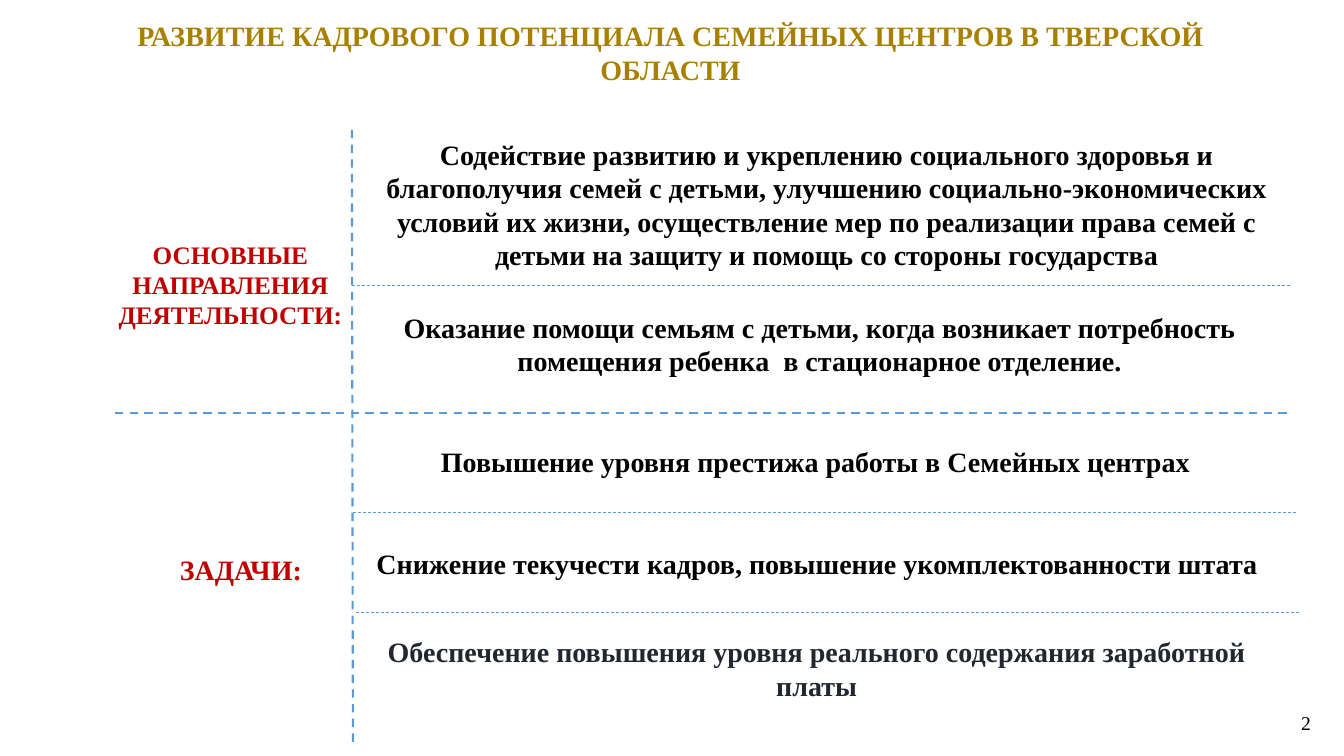
"""Build the slide on staff development in family centres."""
from dataclasses import dataclass

from lxml import etree
from pptx import Presentation
from pptx import util as u
from pptx.dml import color
from pptx.enum import dml, shapes, text
from pptx.oxml import ns


@dataclass(frozen=True)
class Theme:
    font: str = "Times New Roman"
    gold: str = "A88000"
    red: str = "C00000"
    black: str = "000000"
    graphite: str = "22272F"
    blue: str = "5B9BD5"
    body_size: float = 20
    label_size: float = 18
    number_size: float = 14
    thick: float = 1.5
    thin: float = 0.5


class SlideBuilder:
    def __init__(self, slide, theme):
        self.slide = slide
        self.theme = theme

    def place(self, shape, box):
        shape.left, shape.top, shape.width, shape.height = map(u.Inches, box)

    def add_wording(self, shape, wording, ink, size=None, bold=True,
                    align=text.PP_ALIGN.CENTER, anchor=text.MSO_ANCHOR.MIDDLE):
        frame = shape.text_frame
        frame.word_wrap = True
        frame.auto_size = text.MSO_AUTO_SIZE.NONE
        frame.vertical_anchor = anchor
        paragraph = frame.paragraphs[0]
        paragraph.alignment = align
        run = paragraph.add_run()
        run.text = wording
        run.font.name = self.theme.font
        run.font.size = u.Pt(size or self.theme.body_size)
        run.font.bold = bold
        run.font.color.rgb = color.RGBColor.from_string(ink)

    def title(self, box, wording):
        shape = self.slide.shapes.title
        self.place(shape, box)
        self.add_wording(shape, wording, self.theme.gold)

    def text_box(self, box, wording, ink, **style):
        shape = self.slide.shapes.add_textbox(*map(u.Inches, box))
        self.add_wording(shape, wording, ink, **style)

    def panel(self, box, wording, ink, **style):
        shape = self.slide.shapes.add_shape(
            shapes.MSO_SHAPE.ROUNDED_RECTANGLE, *map(u.Inches, box))
        shape.shadow.inherit = False
        shape.fill.background()
        shape.line.fill.background()
        frame = shape.text_frame
        frame.margin_left = frame.margin_right = u.Inches(0.13)
        frame.margin_top = frame.margin_bottom = u.Inches(0.07)
        self.add_wording(shape, wording, ink, **style)

    def dashed_line(self, start, end, width):
        connector = self.slide.shapes.add_connector(
            shapes.MSO_CONNECTOR.STRAIGHT, *map(u.Inches, start + end))
        connector.line.color.rgb = color.RGBColor.from_string(self.theme.blue)
        connector.line.width = u.Pt(width)
        connector.line.dash_style = dml.MSO_LINE.DASH
        etree.SubElement(connector._element.spPr, ns.qn("a:effectLst"))


presentation = Presentation()
presentation.slide_width = u.Inches(13.33)
presentation.slide_height = u.Inches(7.5)
theme = Theme()
builder = SlideBuilder(
    presentation.slides.add_slide(presentation.slide_layouts[5]), theme)

builder.title((1.14, 0.14, 11.02, 0.76),
              "РАЗВИТИЕ КАДРОВОГО ПОТЕНЦИАЛА СЕМЕЙНЫХ ЦЕНТРОВ В ТВЕРСКОЙ ОБЛАСТИ")

builder.panel((0.89, 1.53, 2.79, 2.58), "ОСНОВНЫЕ НАПРАВЛЕНИЯ ДЕЯТЕЛЬНОСТИ:",
              theme.red, size=theme.label_size)
builder.panel((1.3, 4.66, 2.18, 1.98), "ЗАДАЧИ:", theme.red)

builder.text_box(
    (3.5, 1.31, 9.4, 1.45),
    "Содействие развитию и укреплению социального здоровья и благополучия "
    "семей с детьми, улучшению социально-экономических условий их жизни, "
    "осуществление мер по реализации права семей с детьми на защиту и помощь "
    "со стороны государства",
    theme.black, anchor=text.MSO_ANCHOR.TOP)

statements = [
    (3.53, 2.94, 0.94, theme.black,
     "Оказание помощи семьям с детьми, когда возникает потребность "
     "помещения ребенка  в стационарное отделение."),
    (3.49, 4.32, 0.52, theme.black,
     "Повышение уровня престижа работы в Семейных центрах"),
    (3.54, 5.25, 0.67, theme.black,
     "Снижение текучести кадров, повышение укомплектованности штата "),
    (3.5, 6.2, 0.86, theme.graphite,
     "Обеспечение повышения уровня реального содержания заработной платы"),
]
for left, top, height, ink, wording in statements:
    builder.panel((left, top, 9.2, height), wording, ink)

builder.dashed_line((3.5, 7.36), (3.49, 1.27), theme.thick)
dividers = [
    (3.49, 12.79, 2.83, theme.thin),
    (1.14, 12.82, 4.1, theme.thick),
    (3.5, 12.87, 5.08, theme.thin),
    (3.53, 12.9, 6.08, theme.thin),
]
for left, right, level, width in dividers:
    builder.dashed_line((left, level), (right, level), width)

builder.text_box((10.1, 6.97, 3, 0.39), "2", theme.black, bold=False,
                 size=theme.number_size, align=text.PP_ALIGN.RIGHT)

presentation.save("out.pptx")
